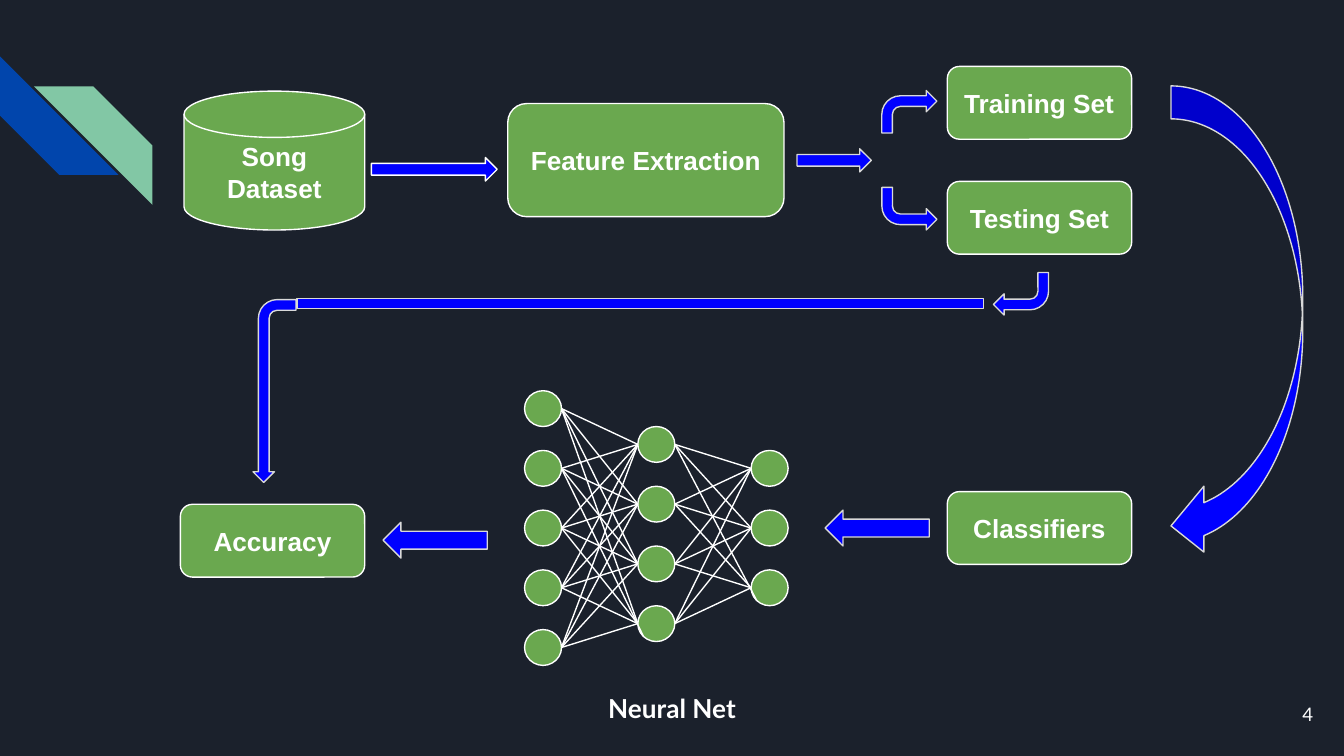
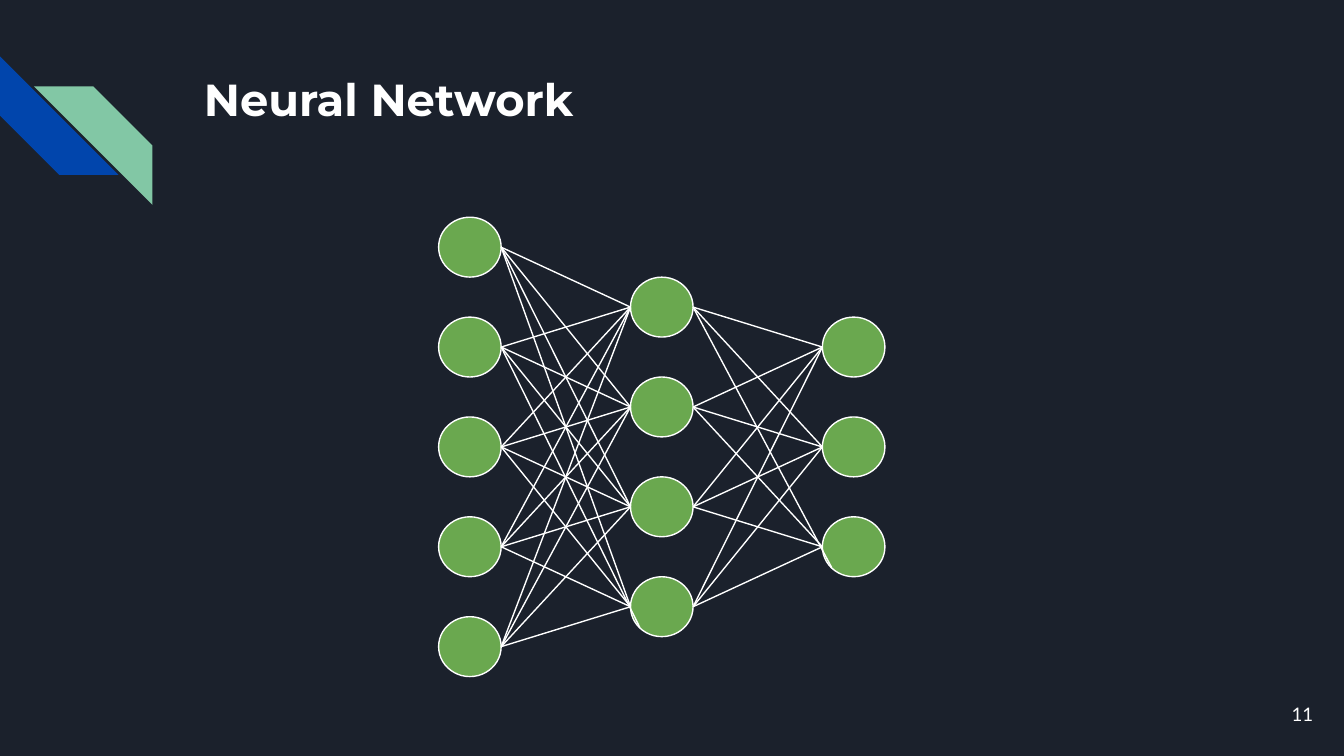
from dataclasses import dataclass
from itertools import pairwise, product
from typing import Any, NamedTuple

from lxml.etree import SubElement
from pptx import Presentation
from pptx.dml.color import RGBColor
from pptx.enum.shapes import MSO_AUTO_SHAPE_TYPE as Preset
from pptx.enum.shapes import MSO_CONNECTOR as Connector
from pptx.enum.text import MSO_ANCHOR as Anchor
from pptx.enum.text import PP_ALIGN as Align
from pptx.oxml.ns import qn
from pptx.util import Pt


@dataclass(frozen=True)
class Theme:
    background: str = "1B212C"
    blue_stripe: str = "0145AC"
    mint_stripe: str = "82C7A5"
    node: str = "6AA84F"
    arrow: str = "0000FF"
    white: str = "FFFFFF"
    pale: str = "D9D9D9"
    outline: float = 0.75
    inset: float = 7.2
    title_size: float = 24
    label_size: float = 14
    number_size: float = 10
    title_font: str = "Montserrat"
    label_font: str = "Arial"
    body_font: str = "Lato"


THEME = Theme()


class Box(NamedTuple):
    left: float
    top: float
    width: float
    height: float

    def points(self) -> list[Any]:
        return [Pt(length) for length in self]


@dataclass(frozen=True)
class TextStyle:
    font: str
    size: float
    bold: bool = True
    align: Any = Align.CENTER
    anchor: Any = Anchor.TOP


LABEL = TextStyle(THEME.label_font, THEME.label_size, anchor=Anchor.MIDDLE)
LABEL_LEFT = TextStyle(THEME.label_font, THEME.label_size, align=Align.LEFT, anchor=Anchor.MIDDLE)
CAPTION = TextStyle(THEME.body_font, THEME.label_size)
TITLE = TextStyle(THEME.title_font, THEME.title_size, align=Align.LEFT)
NUMBER = TextStyle(THEME.body_font, THEME.number_size, False, Align.RIGHT, Anchor.MIDDLE)


@dataclass(frozen=True)
class Part:
    preset: Any
    box: Box
    fill: str = THEME.arrow
    outline: str | None = THEME.pale
    rotation: float = 0
    flipped: bool = False


@dataclass(frozen=True)
class Step:
    text: str
    box: Box
    preset: Any = Preset.ROUNDED_RECTANGLE
    style: TextStyle = LABEL


@dataclass(frozen=True)
class Network:
    left: float
    top: float
    node_width: float
    node_height: float
    column_pitch: float
    row_pitch: float


LAYER_SIZES = (5, 4, 3)
LAYER_STARTS = (0, 0.6, 1)
LOW_ENDS = {(0, 1, 3), (1, 0, 2)}
LOW_SITE_X, LOW_SITE_Y = 0.15, 0.85

STRIPES = (
    Part(Preset.DIAGONAL_STRIPE, Box(0, 30.2, 63.5, 63.5), THEME.blue_stripe, None, 270),
    Part(Preset.DIAGONAL_STRIPE, Box(18.2, 46.3, 63.5, 63.5), THEME.mint_stripe, None, 0, True),
)

CARD_WIDTH, CARD_HEIGHT = 98.8, 39
RIGHT_COLUMN = 507.5
STEPS = (
    Step("Song Dataset", Box(98.6, 48.8, 96.8, 74.4), Preset.FLOWCHART_MAGNETIC_DISK),
    Step("Feature Extraction", Box(272, 55.5, 148, 60.6)),
    Step("Training Set", Box(RIGHT_COLUMN, 35.6, CARD_WIDTH, CARD_HEIGHT), style=LABEL_LEFT),
    Step("Testing Set", Box(RIGHT_COLUMN, 97.2, CARD_WIDTH, CARD_HEIGHT)),
    Step("Classifiers", Box(RIGHT_COLUMN, 263.4, CARD_WIDTH, CARD_HEIGHT)),
    Step("Accuracy", Box(96.6, 270.2, CARD_WIDTH, CARD_HEIGHT)),
)

BEND_WIDTH, BEND_HEIGHT = 29.5, 22.8
ARROWS = (
    Part(Preset.RIGHT_ARROW, Box(199, 84.4, 67.4, 12.6), outline=THEME.white),
    Part(Preset.RIGHT_ARROW, Box(427, 79.7, 39.8, 12.4)),
    Part(Preset.BENT_ARROW, Box(472.4, 48.5, BEND_WIDTH, BEND_HEIGHT)),
    Part(Preset.BENT_ARROW, Box(472.4, 100.4, BEND_WIDTH, BEND_HEIGHT), rotation=180, flipped=True),
    Part(Preset.CURVED_LEFT_ARROW, Box(627.3, 46, 70.6, 253.4)),
    Part(Preset.LEFT_ARROW, Box(442, 273.3, 55.8, 19.2)),
    Part(Preset.LEFT_ARROW, Box(205.2, 279.8, 55.8, 19.2)),
    Part(Preset.BENT_ARROW, Box(532.2, 146, BEND_WIDTH, BEND_HEIGHT), rotation=180),
    Part(Preset.RECTANGLE, Box(159.2, 159.8, 367.6, 5.6)),
    Part(Preset.BENT_ARROW, Box(98, 198, 98, 23), rotation=270, flipped=True),
)


def set_values(target: Any, values: dict[str, Any]) -> None:
    for name, value in values.items():
        setattr(target, name, value)


def add_part(shapes: Any, part: Part) -> Any:
    shape = shapes.add_shape(part.preset, *part.box.points())
    shape.shadow.inherit = False
    shape.rotation = part.rotation
    if part.flipped:
        shape.element.spPr.get_or_add_xfrm().set("flipH", "1")
    shape.fill.solid()
    shape.fill.fore_color.rgb = RGBColor.from_string(part.fill)
    if part.outline is None:
        shape.line.fill.background()
    else:
        shape.line.color.rgb = RGBColor.from_string(part.outline)
        shape.line.width = Pt(THEME.outline)
    return shape


def write_text(shape: Any, text: str, style: TextStyle) -> None:
    frame = shape.text_frame
    sides = ("left", "top", "right", "bottom")
    margins = {f"margin_{side}": Pt(THEME.inset) for side in sides}
    set_values(frame, {"word_wrap": True, "vertical_anchor": style.anchor, **margins})
    paragraph = frame.paragraphs[0]
    paragraph.alignment = style.align
    run = paragraph.add_run()
    run.text = text
    set_values(run.font, {"name": style.font, "size": Pt(style.size), "bold": style.bold})
    run.font.color.rgb = RGBColor.from_string(THEME.white)


def add_text(slide: Any, text: str, box: Box, style: TextStyle) -> None:
    write_text(slide.shapes.add_textbox(*box.points()), text, style)


def add_step(slide: Any, step: Step) -> None:
    shape = add_part(slide.shapes, Part(step.preset, step.box, THEME.node, THEME.white))
    write_text(shape, step.text, step.style)


def add_link(slide: Any, start: tuple[float, float], end: tuple[float, float]) -> None:
    points = [Pt(length) for length in (*start, *end)]
    link = slide.shapes.add_connector(Connector.STRAIGHT, *points)
    link.line.color.rgb = RGBColor.from_string(THEME.white)
    link.line.width = Pt(THEME.outline)
    SubElement(link.element.spPr, qn("a:effectLst"))


def add_network(slide: Any, network: Network) -> None:
    layers = [
        [
            Box(
                network.left + column * network.column_pitch,
                network.top + (start + row) * network.row_pitch,
                network.node_width,
                network.node_height,
            )
            for row in range(size)
        ]
        for column, (size, start) in enumerate(zip(LAYER_SIZES, LAYER_STARTS))
    ]
    for layer in layers:
        for node in layer:
            add_part(slide.shapes, Part(Preset.FLOWCHART_CONNECTOR, node, THEME.node, THEME.white))
    for column, (sources, targets) in enumerate(pairwise(layers)):
        for (row, source), (target_row, target) in product(enumerate(sources), enumerate(targets)):
            low = (column, row, target_row) in LOW_ENDS
            across, down = (LOW_SITE_X, LOW_SITE_Y) if low else (0, 0.5)
            start = (source.left + source.width, source.top + source.height / 2)
            end = (target.left + across * target.width, target.top + down * target.height)
            add_link(slide, start, end)


def add_base_slide(presentation: Any, number: int) -> Any:
    slide = presentation.slides.add_slide(presentation.slide_layouts[6])
    slide.background.fill.solid()
    slide.background.fill.fore_color.rgb = RGBColor.from_string(THEME.background)
    group = slide.shapes.add_group_shape()
    for stripe in STRIPES:
        add_part(group.shapes, stripe)
    add_text(slide, str(number), Box(667.4, 367, 43.2, 31), NUMBER)
    return slide


def add_pipeline_slide(presentation: Any) -> None:
    slide = add_base_slide(presentation, 4)
    for step in STEPS:
        add_step(slide, step)
    for arrow in ARROWS:
        add_part(slide.shapes, arrow)
    add_network(slide, Network(281, 209.3, 19.8, 19.2, 60.7, 32))
    add_text(slide, "Neural Net", Box(288.7, 363.6, 142.6, 25.2), CAPTION)


def add_network_slide(presentation: Any) -> None:
    slide = add_base_slide(presentation, 11)
    add_text(slide, "Neural Network", Box(102.2, 31, 554.4, 72), TITLE)
    add_network(slide, Network(235, 116.4, 33.5, 32.1, 102.8, 53.5))


def main() -> None:
    presentation = Presentation()
    set_values(presentation, {"slide_width": Pt(720), "slide_height": Pt(405)})
    add_pipeline_slide(presentation)
    add_network_slide(presentation)
    presentation.save("out.pptx")


main()
